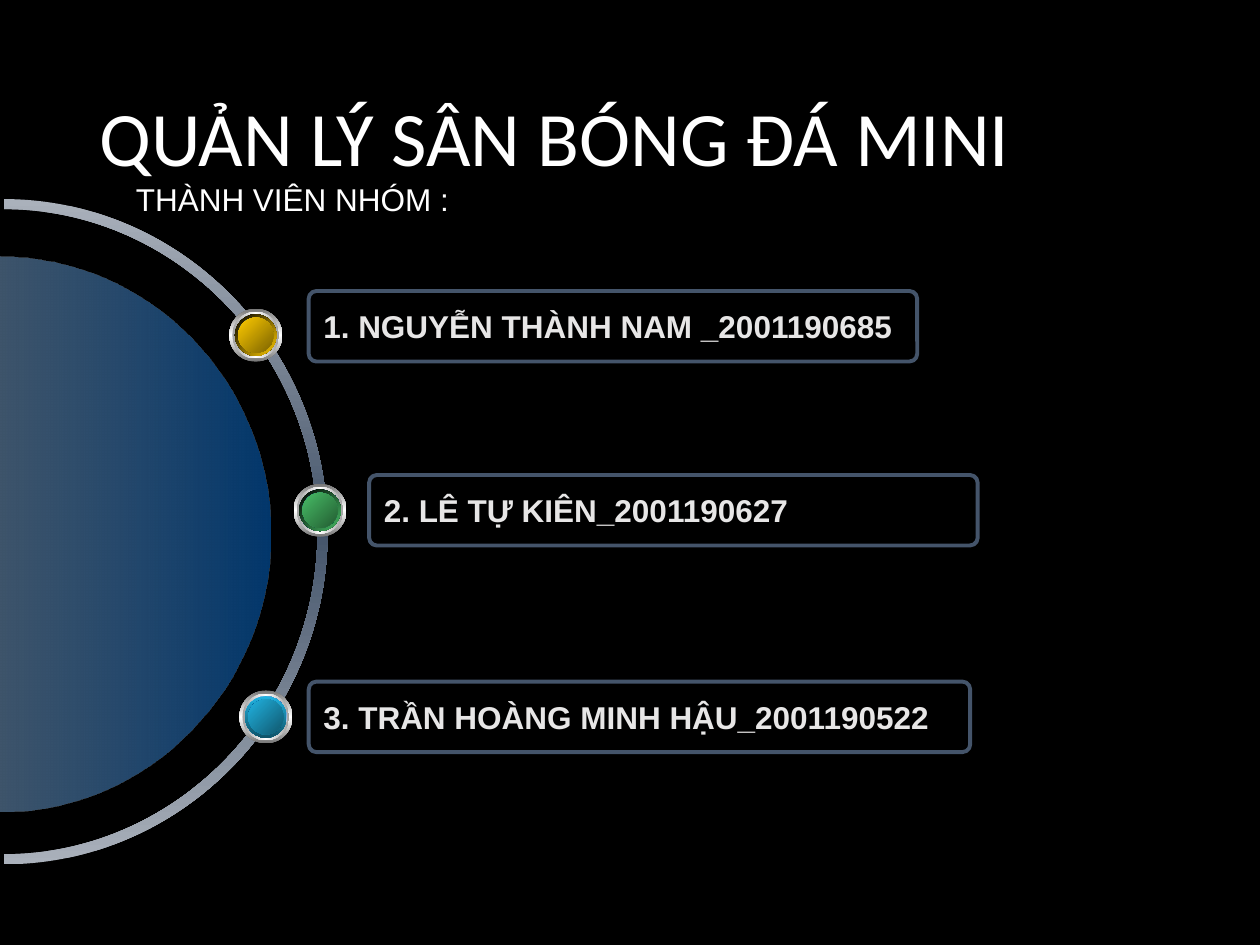
"""Build the team members slide with a dome, an arc and three buttons."""
from dataclasses import dataclass

from lxml import etree
from pptx import Presentation
from pptx.dml.color import RGBColor
from pptx.enum.shapes import MSO_SHAPE
from pptx.enum.text import MSO_ANCHOR, PP_ALIGN
from pptx.oxml.ns import qn
from pptx.util import Inches, Pt

OVAL = MSO_SHAPE.OVAL
ROUNDED = MSO_SHAPE.ROUNDED_RECTANGLE
TOP, MIDDLE = MSO_ANCHOR.TOP, MSO_ANCHOR.MIDDLE
LEFT = PP_ALIGN.LEFT
CURVE = 0.55


@dataclass(frozen=True)
class Theme:
    background: str = "000000"
    white: str = "FFFFFF"
    label: str = "E7E6E6"
    outline: str = "44546A"
    arc: tuple = ("AAB1BB", "44546A", "AAB1BB")
    dome: tuple = ("0563C1", "FFFFFF")
    dome_alpha: tuple = (56, 48)
    rim: tuple = ("767676", "FFFFFF", "767676")
    bevel: tuple = ("A2A2A2", "FFFFFF", "A2A2A2")
    glow: tuple = ("FFFFFF", "0563C1", "FFFFFF")
    core: tuple = ("033668", "0563C1", "033668")
    heading_font: str = "Calibri"
    body_font: str = "Arial"
    title_size: int = 44
    body_size: int = 18
    line_width: float = 2.25


THEME = Theme()

MEMBERS = [
    dict(text="1. NGUYỄN THÀNH NAM _2001190685", box=(2.45, 2.31, 4.83, 0.56),
         center=(2.03, 2.66), ring=("000000", "FFCC00"), ring_angle=45,
         face=("FFCC00", "7C6300")),
    dict(text="2. LÊ TỰ KIÊN_2001190627", box=(2.93, 3.77, 4.83, 0.56),
         center=(2.54, 4.05), ring=("000000", "48BE67"), ring_angle=45,
         face=("48BE67", "235C32")),
    dict(text="3. TRẦN HOÀNG MINH HẬU_2001190522", box=(2.45, 5.41, 5.25, 0.56),
         center=(2.11, 5.69), ring=("21B3E1", "0F5368"), ring_angle=90,
         face=("21B3E1", "10576D")),
]


def write_text(shape, text, *, size, color, font, bold=False, anchor=TOP, spacing=None):
    """Put one formatted paragraph into a shape."""
    tf = shape.text_frame
    tf.word_wrap = True
    tf.vertical_anchor = anchor
    p = tf.paragraphs[0]
    p.alignment = LEFT
    p.line_spacing = spacing
    r = p.add_run()
    r.text = text
    r.font.name = font
    r.font.size = Pt(size)
    r.font.bold = bold
    r.font.color.rgb = RGBColor.from_string(color)


def half_ellipse(cx, base, rx, ry):
    """Return the seven Bezier points of an upper half ellipse."""
    kx, ky = CURVE * rx, CURVE * ry
    offsets = [(-rx, 0), (-rx, ky), (-kx, ry), (0, ry), (kx, ry), (rx, ky), (rx, 0)]
    return [(Inches(cx + dx), Inches(base - dy)) for dx, dy in offsets]


class SlideBuilder:
    """Draw the elements of one slide in a given theme."""

    def __init__(self, slide, theme):
        self.s = slide
        self.theme = theme

    def background(self):
        """Fill the slide background."""
        fill = self.s.background.fill
        fill.solid()
        fill.fore_color.rgb = RGBColor.from_string(self.theme.background)

    def gradient(self, shape, colors, angle, alphas=()):
        """Give a shape an even linear gradient, clockwise in degrees, and no line."""
        shape.shadow.inherit = False
        shape.line.fill.background()
        shape.fill.gradient()
        grad = shape.fill._xPr.find(qn("a:gradFill"))
        stops = grad.find(qn("a:gsLst"))
        for stop in list(stops):
            stops.remove(stop)
        for i, color in enumerate(colors):
            pos = 100000 * i // (len(colors) - 1)
            stop = etree.SubElement(stops, qn("a:gs"), pos=str(pos))
            rgb = etree.SubElement(stop, qn("a:srgbClr"), val=color)
            if alphas:
                etree.SubElement(rgb, qn("a:alpha"), val=str(alphas[i] * 1000))
        lin = grad.find(qn("a:lin"))
        lin.set("ang", str(angle * 60000))
        lin.set("scaled", "0")

    def half_disc(self, points, height, colors, angle, alphas=()):
        """Draw half ellipses as curves in a full-height frame turned to the right."""
        builder = self.s.shapes.build_freeform(*points[0])
        builder.add_line_segments(points[1:], close=True)
        sp = builder.convert_to_shape()
        outline = next(sp._element.iter(qn("a:path")))
        nodes = list(outline)
        for start in range(1, len(points), 7):
            for i in (start, start + 3):
                curve = etree.Element(qn("a:cubicBezTo"))
                nodes[i].addprevious(curve)
                for node in nodes[i:i + 3]:
                    curve.append(node[0])
                    outline.remove(node)
        sp.height = Inches(height)
        outline.set("h", str(sp.height))
        sp.rotation = 90
        self.gradient(sp, colors, angle, alphas)

    def text(self, text, box, **fmt):
        """Add a text box."""
        write_text(self.s.shapes.add_textbox(*map(Inches, box)), text, **fmt)

    def label(self, text, box):
        """Add an outlined rounded label."""
        t = self.theme
        sp = self.s.shapes.add_shape(ROUNDED, *map(Inches, box))
        sp.adjustments[0] = 0.11
        sp.shadow.inherit = False
        sp.fill.background()
        sp.line.color.rgb = RGBColor.from_string(t.outline)
        sp.line.width = Pt(t.line_width)
        write_text(sp, text, size=t.body_size, color=t.label, font=t.body_font,
                   bold=True, anchor=MIDDLE)

    def button(self, center, ring, ring_angle, face):
        """Add a group of concentric discs as a glossy button."""
        t = self.theme
        x, y = center
        layers = [(0.42, t.rim, 90), (0.37, t.bevel, 0), (0.33, t.glow, 45),
                  (0.33, ring, ring_angle), (0.28, t.core, 315), (0.28, face, 45)]
        group = self.s.shapes.add_group_shape()
        for size, colors, angle in layers:
            box = (x - size / 2, y - size / 2, size, size)
            sp = group.shapes.add_shape(OVAL, *map(Inches, box))
            self.gradient(sp, colors, angle)


def main():
    """Build and save the presentation."""
    prs = Presentation()
    prs.slide_width, prs.slide_height = Inches(10), Inches(7.5)
    t = THEME
    b = SlideBuilder(prs.slides.add_slide(prs.slide_layouts[6]), t)
    b.background()
    b.text("QUẢN LÝ SÂN BÓNG ĐÁ MINI", (0.69, 0.4, 8.62, 1.45), size=t.title_size,
           color=t.white, font=t.heading_font, anchor=MIDDLE, spacing=0.9)
    inner = half_ellipse(-0.01, 4.18, 2.56, 2.49)
    outer = half_ellipse(-0.01, 4.18, 2.64, 2.57)
    b.half_disc(inner + outer[::-1], 5.22, t.arc, 0)
    b.half_disc(half_ellipse(0, 4.24, 2.2, 2.15), 4.3, t.dome, 90, t.dome_alpha)
    for m in reversed(MEMBERS):
        b.label(m["text"], m["box"])
    for m in MEMBERS:
        b.button(m["center"], m["ring"], m["ring_angle"], m["face"])
    b.text("THÀNH VIÊN NHÓM :", (0.98, 1.38, 5.55, 0.4), size=t.body_size,
           color=t.white, font=t.body_font)
    prs.save("out.pptx")


if __name__ == "__main__":
    main()
